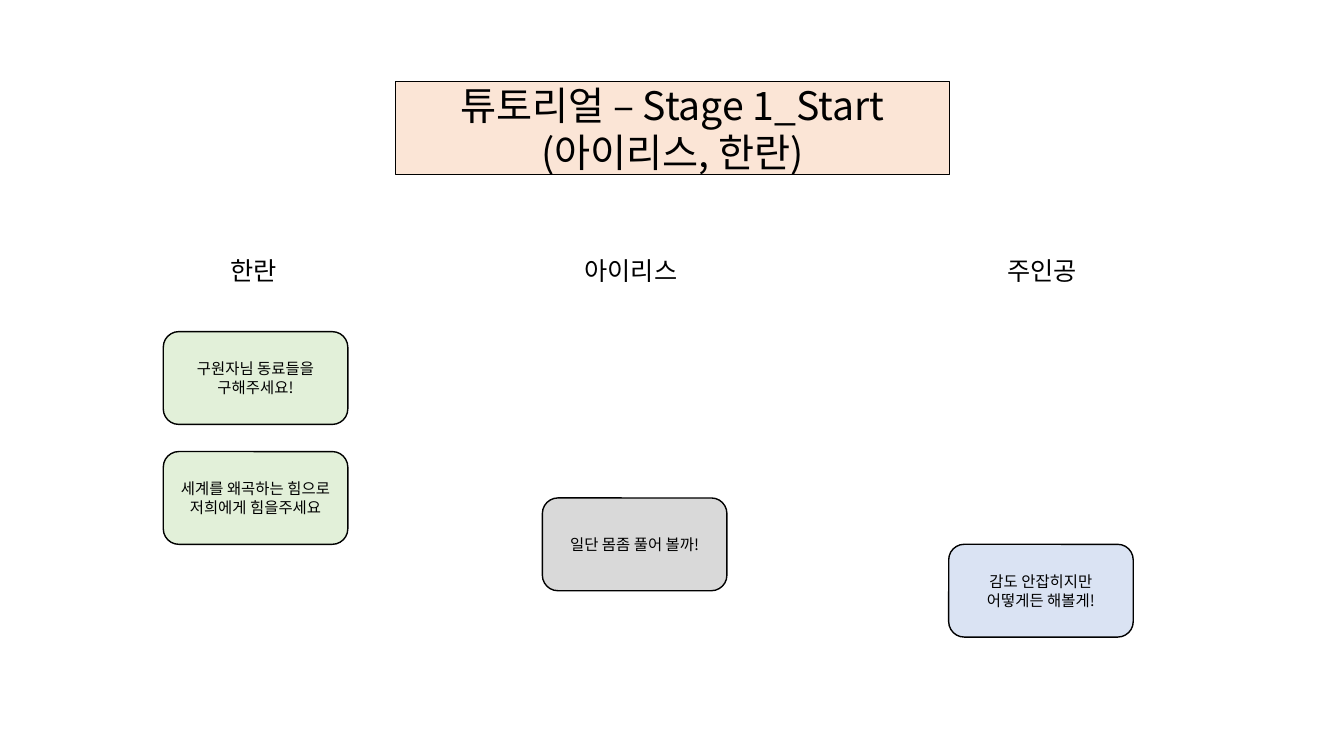
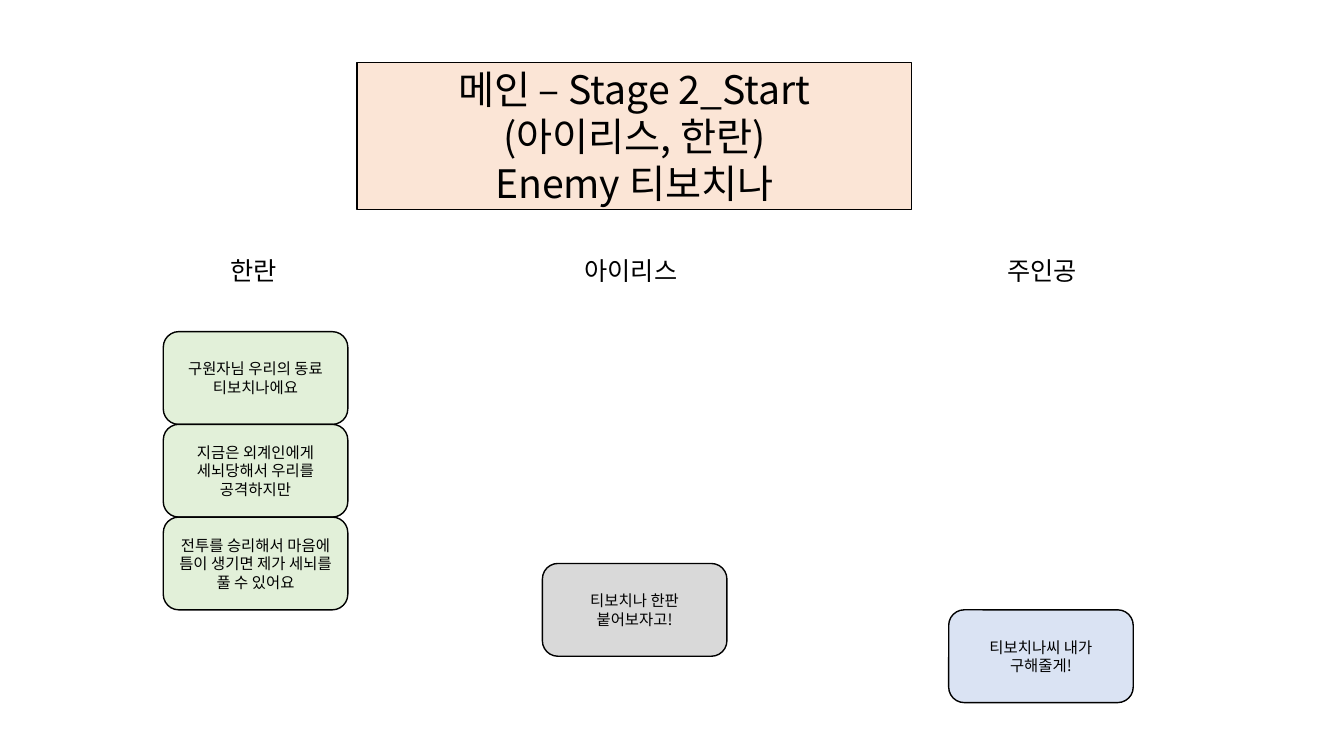
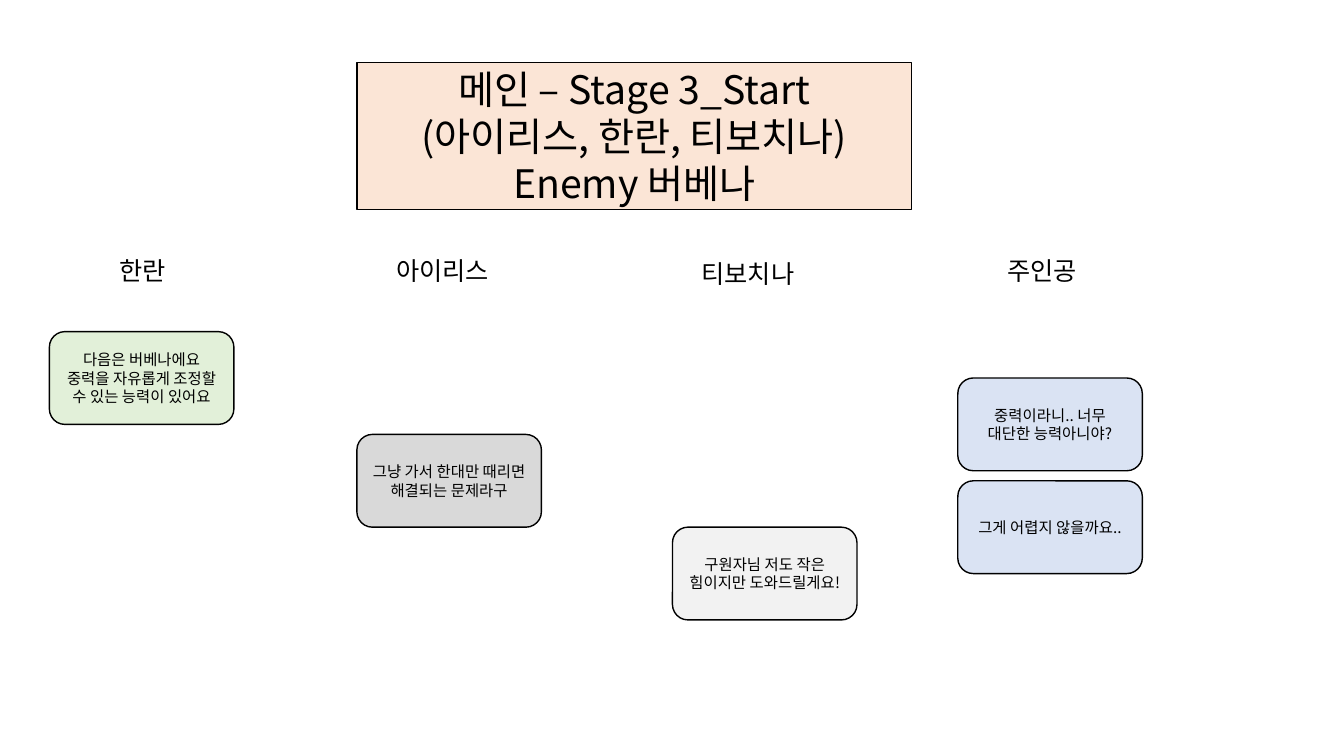
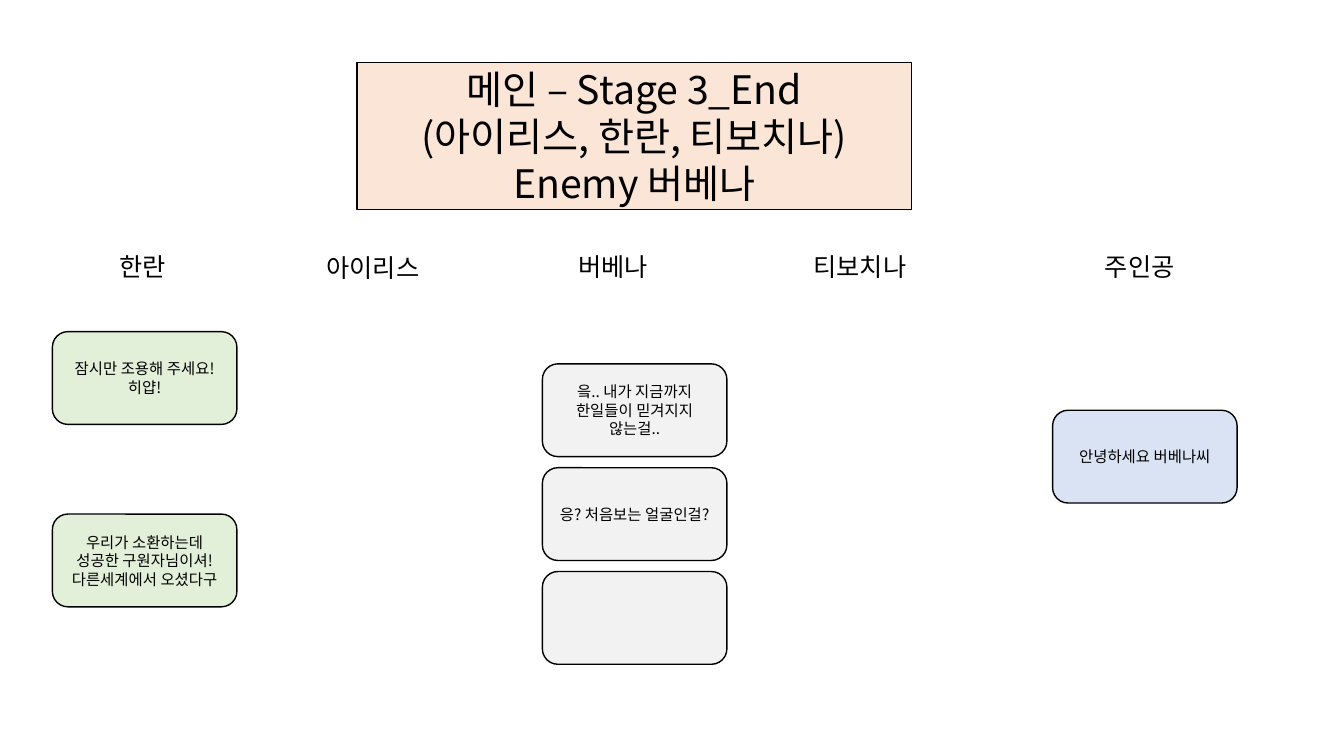
from lxml import etree
from pptx import Presentation
from pptx.dml.color import RGBColor
from pptx.enum import shapes, text
from pptx.oxml import ns
from pptx.util import Inches, Pt

FONT = "Noto Sans CJK KR"
BLACK = RGBColor(0x00, 0x00, 0x00)
PEACH = RGBColor(0xFB, 0xE5, 0xD6)
GREEN = RGBColor(0xE2, 0xF0, 0xD9)
GREY = RGBColor(0xD9, 0xD9, 0xD9)
PALE = RGBColor(0xF2, 0xF2, 0xF2)
BLUE = RGBColor(0xDA, 0xE3, 0xF3)

TONES = {"한란": GREEN, "아이리스": GREY, "티보치나": PALE, "버베나": PALE, "주인공": BLUE}
CARD = (1.83, 0.92)
LABEL = (1.94, 0.4)
BANNER = (3.54, 0.62, 5.5, 1.46)

STAGES = [
    {
        "title": ["튜토리얼 – Stage 1_Start", "(아이리스, 한란)"],
        "box": (3.92, 0.81, 5.5, 0.92),
        "cast": [
            ("한란", (2.19, 2.48), 1.62, [
                (3.29, "구원자님 동료들을 구해주세요!"),
                (4.48, "세계를 왜곡하는 힘으로 저희에게 힘을주세요"),
            ]),
            ("아이리스", (5.7, 2.48), 5.38, [(4.94, "일단 몸좀 풀어 볼까!")]),
            ("주인공", (9.89, 2.48), 9.41, [(5.4, "감도 안잡히지만 어떻게든 해볼게!")]),
        ],
    },
    {
        "title": ["메인 – Stage 2_Start", "(아이리스, 한란)", "Enemy 티보치나"],
        "box": BANNER,
        "cast": [
            ("한란", (2.19, 2.48), 1.62, [
                (3.29, "구원자님 우리의 동료 티보치나에요"),
                (4.21, "지금은 외계인에게 세뇌당해서 우리를 공격하지만"),
                (5.13, "전투를 승리해서 마음에 틈이 생기면 제가 세뇌를 풀 수 있어요"),
            ]),
            ("아이리스", (5.7, 2.48), 5.38, [(5.59, "티보치나 한판 붙어보자고!")]),
            ("주인공", (9.89, 2.48), 9.41, [(6.05, "티보치나씨 내가 구해줄게!")]),
        ],
    },
    {
        "title": ["메인 – Stage 3_Start", "(아이리스, 한란, 티보치나)", "Enemy 버베나"],
        "box": BANNER,
        "cast": [
            ("한란", (1.09, 2.48), 0.49, [
                (3.29, "다음은 버베나에요 중력을 자유롭게 조정할 수 있는 능력이 있어요"),
            ]),
            ("아이리스", (3.83, 2.48), 3.54, [(4.31, "그냥 가서 한대만 때리면 해결되는 문제라구")]),
            ("티보치나", (6.86, 2.51), 6.67, [(5.23, "구원자님 저도 작은 힘이지만 도와드릴게요!")]),
            ("주인공", (9.89, 2.48), 9.5, [
                (3.75, "중력이라니.. 너무 대단한 능력아니야?"),
                (4.77, "그게 어렵지 않을까요.."),
            ]),
        ],
    },
    {
        "title": ["메인 – Stage 3_End", "(아이리스, 한란, 티보치나)", "Enemy 버베나"],
        "box": BANNER,
        "cast": [
            ("한란", (1.09, 2.44), 0.52, [
                (3.29, "잠시만 조용해 주세요! 히얍!"),
                (5.1, "우리가 소환하는데 성공한 구원자님이셔! 다른세계에서 오셨다구"),
            ]),
            ("아이리스", (3.14, 2.45), 3.14, []),
            ("버베나", (5.64, 2.44), 5.38, [
                (3.61, "읔.. 내가 지금까지 한일들이 믿겨지지 않는걸.."),
                (4.64, "응? 처음보는 얼굴인걸?"),
                (5.67, ""),
            ]),
            ("티보치나", (7.97, 2.44), 7.97, []),
            ("주인공", (10.86, 2.44), 10.44, [(4.07, "안녕하세요 버베나씨")]),
        ],
    },
]


def write(frame, lines, size, align):
    """Fill a text frame with one paragraph per line."""
    frame.word_wrap = True
    frame.text = "\n".join(lines)
    for para in frame.paragraphs:
        para.alignment = align
        para.font.size = Pt(size)
        para.font.color.rgb = BLACK
        para.font.name = FONT
        props = para._p.pPr.find(ns.qn("a:defRPr"))
        etree.SubElement(props, ns.qn("a:ea"), typeface=FONT)


def panel(slide, kind, box, tone, lines, size):
    """Add an outlined shape with centred text."""
    shape = slide.shapes.add_shape(kind, *map(Inches, box))
    shape.shadow.inherit = False
    shape.fill.solid()
    shape.fill.fore_color.rgb = tone
    shape.line.color.rgb = BLACK
    shape.line.width = Pt(1)
    shape.text_frame.vertical_anchor = text.MSO_ANCHOR.MIDDLE
    write(shape.text_frame, lines, size, text.PP_ALIGN.CENTER)


def column(slide, name, spot, left, cards):
    """Add a speaker's name and the cards with their lines."""
    label = slide.shapes.add_textbox(*map(Inches, spot + LABEL))
    write(label.text_frame, [name], 18, text.PP_ALIGN.LEFT)
    label.text_frame.auto_size = text.MSO_AUTO_SIZE.SHAPE_TO_FIT_TEXT
    for top, words in cards:
        panel(slide, shapes.MSO_SHAPE.ROUNDED_RECTANGLE, (left, top) + CARD, TONES[name], [words], 11)


def stage(deck, title, box, cast):
    """Add one dialogue slide."""
    slide = deck.slides.add_slide(deck.slide_layouts[6])
    panel(slide, shapes.MSO_SHAPE.RECTANGLE, box, PEACH, title, 28)
    for role in cast:
        column(slide, *role)


def main():
    """Build and save the deck."""
    deck = Presentation()
    deck.slide_width = Inches(13.33)
    deck.slide_height = Inches(7.5)
    for scene in STAGES:
        stage(deck, **scene)
    deck.save("out.pptx")


if __name__ == "__main__":
    main()
